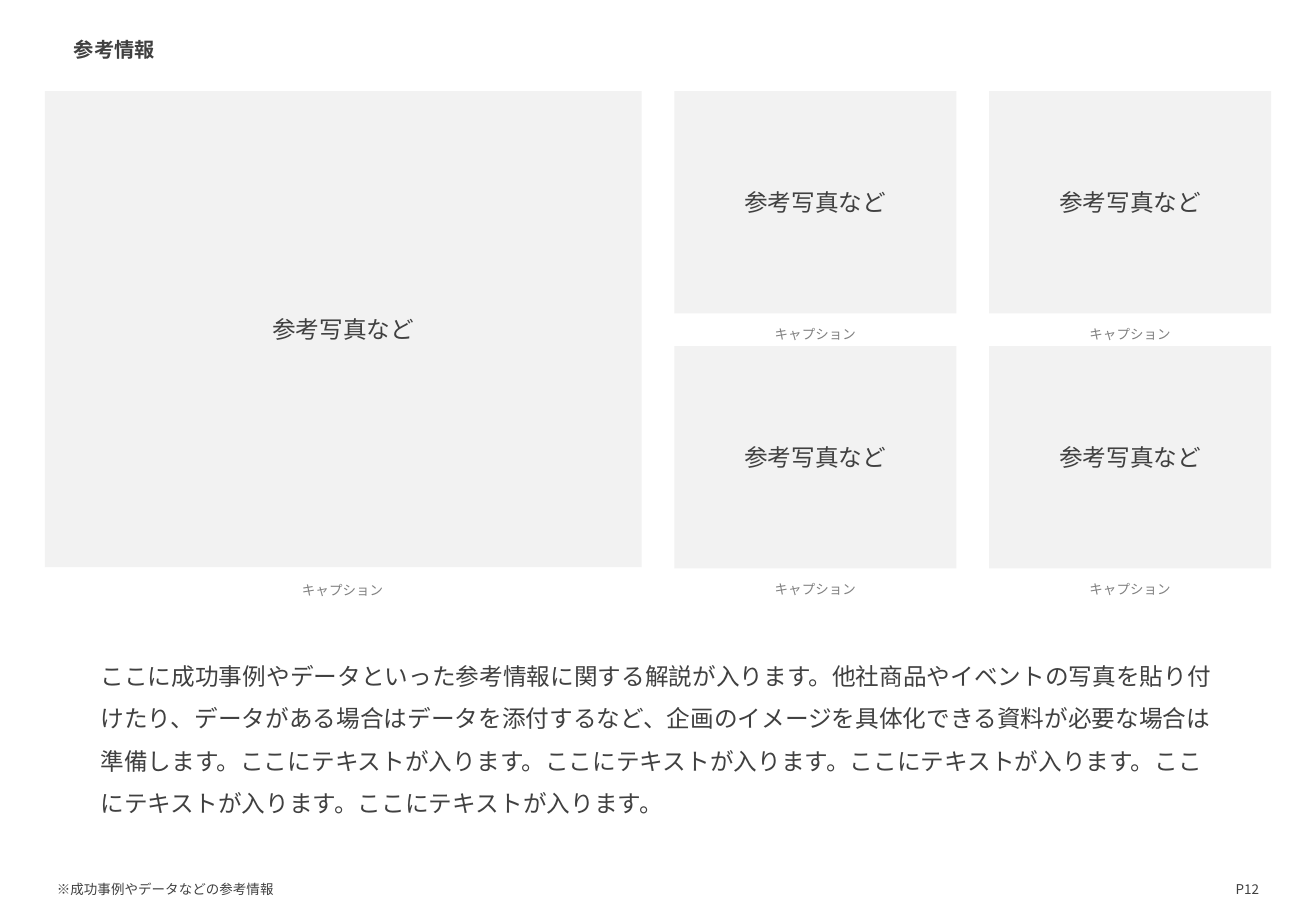
from lxml.etree import SubElement
from pptx import Presentation
from pptx.dml.color import RGBColor
from pptx.enum.shapes import MSO_SHAPE as Preset
from pptx.enum.text import MSO_ANCHOR as Anchor, MSO_AUTO_SIZE as AutoSize, PP_ALIGN as Align
from pptx.oxml.ns import qn
from pptx.util import Pt

PX = 9144  # EMU per px, 100 px to the inch
FONT = "Noto Sans CJK JP"
COLORS = {"ink": "404040", "caption": "808080", "photo": "F2F2F2"}

# Text formats
TITLE = {"size": Pt(12), "bold": True}
BODY = {"size": Pt(14)}
SMALL = {"size": Pt(8)}
SPACED = {"line_spacing": 1.5}
CENTERED = {"alignment": Align.CENTER}

PHOTO_W, PHOTO_H = 232, 183
GRID_LEFT, GRID_TOP = 555, 75
COLUMN_STEP, ROW_STEP = 259, 210

EXPLANATION = (
    "ここに成功事例やデータといった参考情報に関する解説が入ります。"
    "他社商品やイベントの写真を貼り付けたり、データがある場合はデータを添付するなど、"
    "企画のイメージを具体化できる資料が必要な場合は準備します。"
    + "ここにテキストが入ります。" * 5
)


def emu(*lengths):
    return [length * PX for length in lengths]


def apply(target, values):
    for name, value in values.items():
        setattr(target, name, value)


def write(frame, words, font_format, paragraph_format, color="ink"):
    paragraph = frame.paragraphs[0]
    apply(paragraph, paragraph_format)
    run = paragraph.add_run()
    run.text = words
    apply(run.font, {"name": FONT, **font_format})
    run.font.color.rgb = RGBColor.from_string(COLORS[color])
    # Japanese glyphs use the East Asian typeface
    SubElement(run.font._element, qn("a:ea"), typeface=FONT)


def add_text(slide, box, words, font_format, paragraph_format, color="ink", wrap=True):
    frame = slide.shapes.add_textbox(*emu(*box)).text_frame
    apply(frame, {"word_wrap": wrap, "auto_size": AutoSize.SHAPE_TO_FIT_TEXT})
    write(frame, words, font_format, paragraph_format, color)


def add_photo_area(slide, box):
    area = slide.shapes.add_shape(Preset.RECTANGLE, *emu(*box))
    area.shadow.inherit = False
    area.fill.solid()
    area.fill.fore_color.rgb = RGBColor.from_string(COLORS["photo"])
    area.line.fill.background()
    area.text_frame.vertical_anchor = Anchor.MIDDLE
    write(area.text_frame, "参考写真など", BODY, CENTERED)


def add_caption(slide, left, top):
    add_text(slide, (left, top, PHOTO_W, 29), "キャプション", SMALL,
             {**CENTERED, **SPACED}, "caption")


def main():
    deck = Presentation()
    deck.slide_width, deck.slide_height = emu(1083, 750)
    slide = deck.slides.add_slide(deck.slide_layouts[6])

    # Heading, footnote and explanation
    add_text(slide, (51, 26, 88, 30), "参考情報", TITLE, {}, wrap=False)
    add_text(slide, (37, 714, 1010, 29), "※成功事例やデータなどの参考情報", SMALL, SPACED)
    add_text(slide, (73, 528, 938, 151), EXPLANATION, BODY, SPACED)

    # Main photo
    add_photo_area(slide, (37, GRID_TOP, 491, 392))
    add_caption(slide, 37 + (491 - PHOTO_W) // 2, 468)

    # Two by two grid of small photos
    for row in range(2):
        for column in range(2):
            left = GRID_LEFT + column * COLUMN_STEP
            top = GRID_TOP + row * ROW_STEP
            add_photo_area(slide, (left, top, PHOTO_W, PHOTO_H))
            add_caption(slide, left, top + PHOTO_H - 1)

    # Page number
    add_text(slide, (964, 714, 82, 29), "P12", SMALL,
             {"alignment": Align.RIGHT, **SPACED})

    deck.save("out.pptx")


if __name__ == "__main__":
    main()
